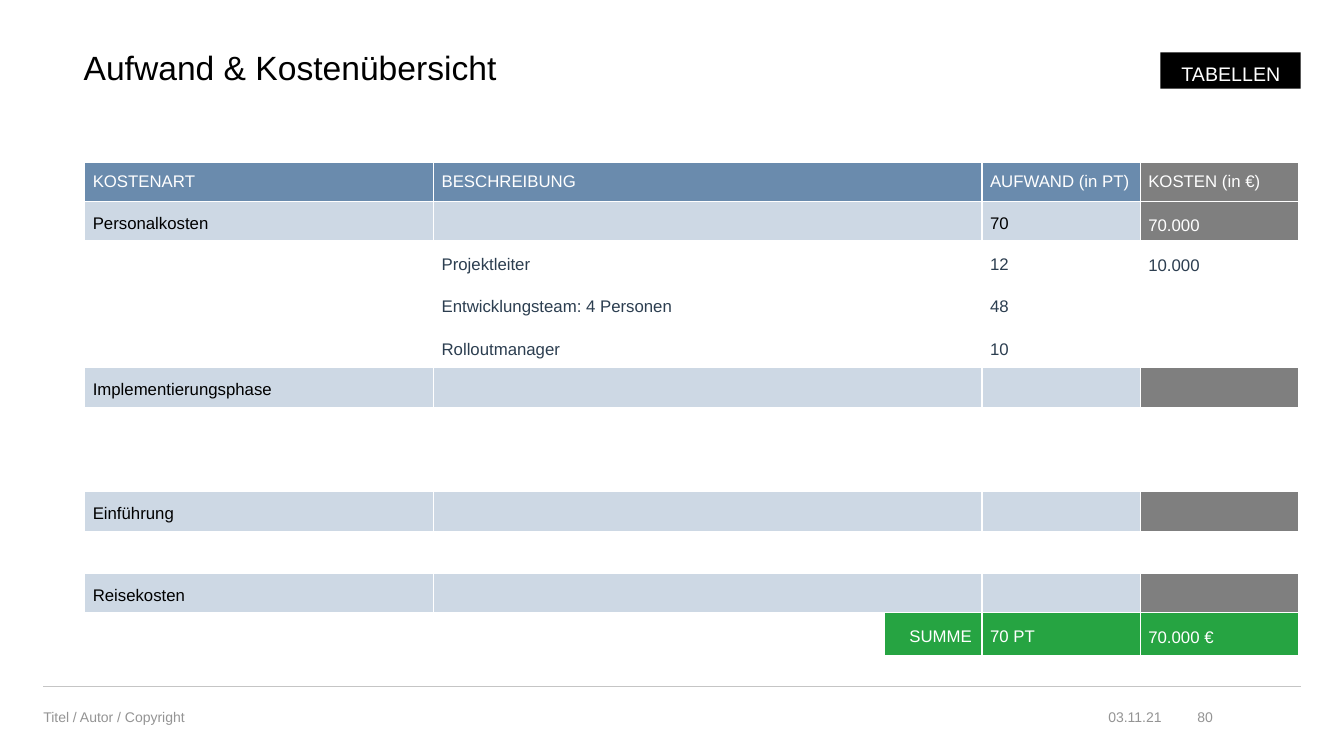
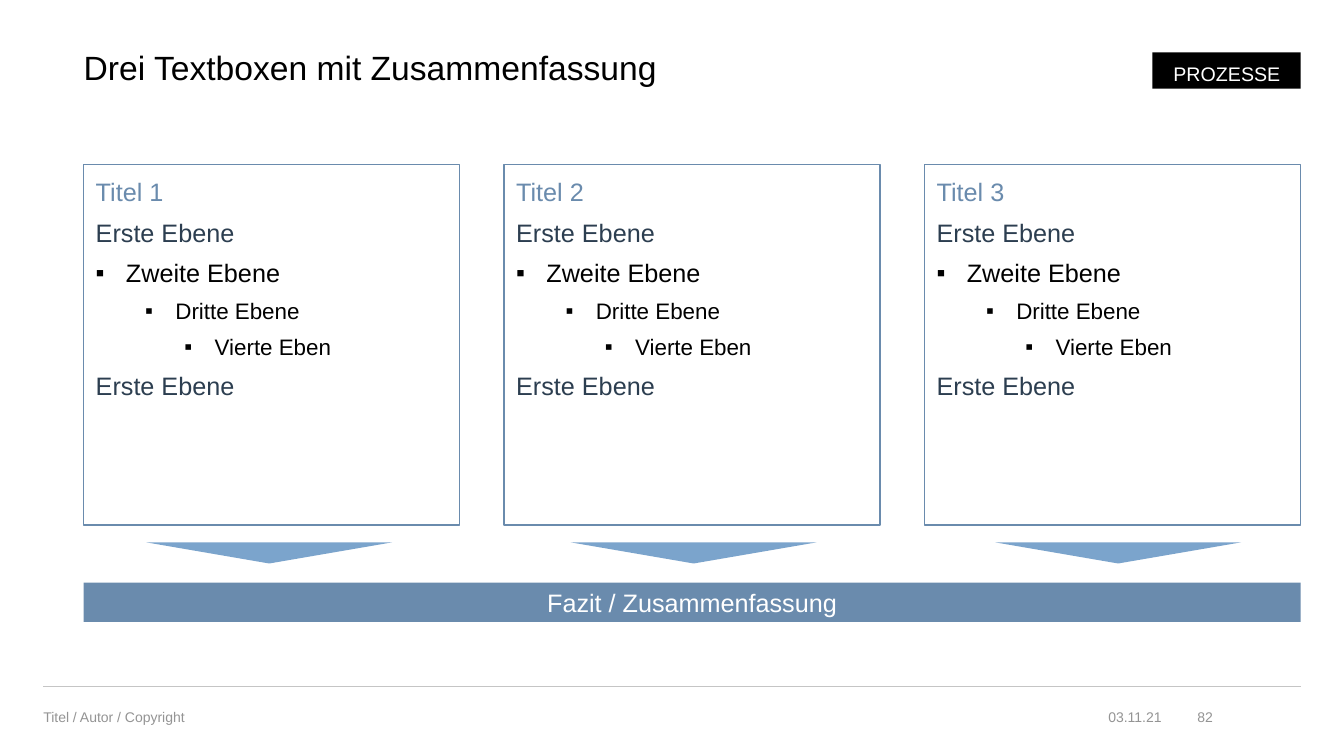
from dataclasses import dataclass

from lxml import etree
from pptx import Presentation
from pptx.dml.color import RGBColor
from pptx.enum.shapes import MSO_CONNECTOR, MSO_SHAPE
from pptx.enum.text import MSO_ANCHOR, PP_ALIGN
from pptx.oxml.ns import qn
from pptx.util import Inches, Pt

LEFT, CENTER, RIGHT = PP_ALIGN.LEFT, PP_ALIGN.CENTER, PP_ALIGN.RIGHT
TOP, MIDDLE = MSO_ANCHOR.TOP, MSO_ANCHOR.MIDDLE
RECTANGLE, TRIANGLE = MSO_SHAPE.RECTANGLE, MSO_SHAPE.ISOSCELES_TRIANGLE
STRAIGHT = MSO_CONNECTOR.STRAIGHT


@dataclass(frozen=True)
class Theme:
    font: str = "Arial"
    black: str = "000000"
    white: str = "FFFFFF"
    navy: str = "2C3E50"
    blue: str = "6A8BAD"
    arrow: str = "7BA4CC"
    pale: str = "CDD8E4"
    gray: str = "7F7F7F"
    green: str = "26A442"
    footer: str = "949494"
    rule: str = "C5C5C5"
    title_size: int = 24
    body_size: int = 18
    detail_size: int = 16
    tag_size: int = 14
    table_size: int = 12
    footer_size: int = 10


THEME = Theme()
EDGE, RIGHT_EDGE = 0.83, 12.9  # content margins

# Table content: row kind and its texts; column 3 only splits the total row
COLUMNS = (3.46, 4.47, 0.97, 1.57, 1.57)
ROW_HEIGHT = 0.39
COST_ROWS = (
    ("header", ("KOSTENART", "BESCHREIBUNG", "", "AUFWAND (in PT)", "KOSTEN (in €)")),
    ("group", ("Personalkosten", "", "", "70", "70.000")),
    ("item", ("", "Projektleiter", "", "12", "10.000")),
    ("item", ("", "Entwicklungsteam: 4 Personen", "", "48", "")),
    ("item", ("", "Rolloutmanager", "", "10", "")),
    ("group", ("Implementierungsphase", "", "", "", "")),
    ("item", ("",) * 5),
    ("item", ("",) * 5),
    ("group", ("Einführung", "", "", "", "")),
    ("item", ("",) * 5),
    ("group", ("Reisekosten", "", "", "", "")),
    ("total", ("", "", "SUMME", "70 PT", "70.000 €")),
)
# Row kind: fill, last-column fill, text colour, last-column text colour
ROW_STYLES = {
    "header": (THEME.blue, THEME.gray, THEME.white, THEME.white),
    "group": (THEME.pale, THEME.gray, THEME.black, THEME.white),
    "item": (THEME.white, THEME.white, THEME.navy, THEME.navy),
    "total": (THEME.green, THEME.green, THEME.white, THEME.white),
}

# Outline of each box: text, size, colour, bullet indent
BOX_OUTLINE = (
    ("Erste Ebene", THEME.body_size, THEME.navy, None),
    ("Zweite Ebene", THEME.body_size, THEME.black, 0.3),
    ("Dritte Ebene", THEME.detail_size, THEME.black, 0.79),
    ("Vierte Eben", THEME.detail_size, THEME.black, 1.18),
    ("Erste Ebene", THEME.body_size, THEME.navy, None),
)


def rgb(color):
    return RGBColor.from_string(color)


def add_bullet(paragraph, indent):
    props = paragraph._p.get_or_add_pPr()
    props.set("marL", str(Inches(indent)))
    props.set("indent", str(Inches(-0.3)))
    color = etree.SubElement(props, qn("a:buClr"))
    etree.SubElement(color, qn("a:srgbClr"), val=THEME.black)
    etree.SubElement(props, qn("a:buFont"), typeface=THEME.font)
    etree.SubElement(props, qn("a:buChar"), char="▪")


def write(frame, text, *, size, color, align=LEFT, line=None, before=None,
          bullet=None, new=False):
    """Write one formatted paragraph into a text frame."""
    paragraph = frame.add_paragraph() if new else frame.paragraphs[0]
    if bullet is not None:
        add_bullet(paragraph, bullet)
    paragraph.alignment = align
    if line:
        paragraph.line_spacing = line
    if before:
        paragraph.space_before = Pt(before)
    run = paragraph.add_run()
    run.text = text
    run.font.name = THEME.font
    run.font.size = Pt(size)
    run.font.color.rgb = rgb(color)


def set_insets(target, left, top, right, bottom):
    target.margin_left, target.margin_top = Inches(left), Inches(top)
    target.margin_right, target.margin_bottom = Inches(right), Inches(bottom)


def add_label(slide, at, text, anchor=TOP, **text_format):
    frame = slide.shapes.add_textbox(*map(Inches, at)).text_frame
    frame.word_wrap = True
    frame.vertical_anchor = anchor
    set_insets(frame, 0, 0, 0, 0)
    write(frame, text, **text_format)


def add_block(slide, at, kind=RECTANGLE, fill=None, outline=None,
              insets=(0, 0, 0, 0), anchor=TOP):
    block = slide.shapes.add_shape(kind, *map(Inches, at))
    block.shadow.inherit = False
    if fill:
        block.fill.solid()
        block.fill.fore_color.rgb = rgb(fill)
    else:
        block.fill.background()
    if outline:
        block.line.color.rgb = rgb(outline)
        block.line.width = Pt(1)
    else:
        block.line.fill.background()
    frame = block.text_frame
    frame.word_wrap = True
    frame.vertical_anchor = anchor
    set_insets(frame, *insets)
    return block


def add_frame_slide(deck, title, tag, tag_width, number):
    """Add a slide with the shared title, tag and footer."""
    slide = deck.slides.add_slide(deck.slide_layouts[6])
    rule = slide.shapes.add_connector(
        STRAIGHT, *map(Inches, (0.43, 6.81, RIGHT_EDGE, 6.81)))
    rule.line.color.rgb = rgb(THEME.rule)
    rule.line.width = Pt(0.5)
    etree.SubElement(rule._element.spPr, qn("a:effectLst"))

    add_label(slide, (EDGE, 0.51, RIGHT_EDGE - EDGE, 0.36), title,
              size=THEME.title_size, color=THEME.black, line=0.9)
    for left, width, text, align in (
        (0.43, 6.07, "Titel / Autor / Copyright", LEFT),
        (10.77, 0.75, "03.11.21", RIGHT),
        (11.72, 0.31, number, RIGHT),
    ):
        add_label(slide, (left, 6.92, width, 0.39), text, MIDDLE, align=align,
                  size=THEME.footer_size, color=THEME.footer)

    tag_block = add_block(slide, (RIGHT_EDGE - tag_width, 0.52, tag_width, 0.36),
                          fill=THEME.black, insets=(0.2, 0.05, 0.2, 0.05))
    tag_block.text_frame.word_wrap = False
    write(tag_block.text_frame, tag, size=THEME.tag_size, color=THEME.white,
          align=RIGHT, line=1.2)
    return slide


def add_cell_borders(cell):
    props = cell._tc.get_or_add_tcPr()
    for position, side in enumerate(("a:lnL", "a:lnR", "a:lnT", "a:lnB")):
        border = etree.Element(qn(side), w=str(Pt(1)))
        fill = etree.SubElement(border, qn("a:solidFill"))
        etree.SubElement(fill, qn("a:srgbClr"), val=THEME.white)
        props.insert(position, border)


def cell_insets(kind, column):
    if kind == "header":
        return 0.08, 0.08, 0.08, 0.08
    if column == 0:
        return 0.08, 0.08, 0.04, 0.04
    return 0.08, 0.08 if column == len(COLUMNS) - 1 else 0.05, 0.1, 0


def fill_cell(cell, kind, column, text):
    fill, last_fill, color, last_color = ROW_STYLES[kind]
    is_last = column == len(COLUMNS) - 1
    if kind == "total" and column < 2:
        cell.fill.background()
    else:
        cell.fill.solid()
        cell.fill.fore_color.rgb = rgb(last_fill if is_last else fill)
    add_cell_borders(cell)
    cell.vertical_anchor = MIDDLE
    set_insets(cell, *cell_insets(kind, column))
    if text:
        write(cell.text_frame, text, size=THEME.table_size,
              color=last_color if is_last else color,
              align=RIGHT if text == "SUMME" else LEFT)


def add_cost_table(slide):
    at = (0.84, 1.61, sum(COLUMNS), ROW_HEIGHT * len(COST_ROWS))
    table = slide.shapes.add_table(
        len(COST_ROWS), len(COLUMNS), *map(Inches, at)).table
    table.first_row = table.horz_banding = False
    for column, width in zip(table.columns, COLUMNS):
        column.width = Inches(width)
    for row, (kind, texts) in enumerate(COST_ROWS):
        table.rows[row].height = Inches(ROW_HEIGHT)
        for column, text in enumerate(texts):
            fill_cell(table.cell(row, column), kind, column, text)
        if kind != "total":
            table.cell(row, 1).merge(table.cell(row, 2))


def add_outline_box(slide, left, heading):
    frame = add_block(slide, (left, 1.63, 3.73, 3.58), outline=THEME.blue,
                      insets=(0.12, 0.06, 0.12, 0.04)).text_frame
    write(frame, heading, size=THEME.body_size, color=THEME.blue, line=1.2)
    for text, size, color, bullet in BOX_OUTLINE:
        write(frame, text, size=size, color=color, bullet=bullet,
              line=1.2, before=3, new=True)


def main():
    deck = Presentation()
    deck.slide_width, deck.slide_height = Inches(13.33), Inches(7.5)

    # Cost overview
    costs = add_frame_slide(deck, "Aufwand & Kostenübersicht", "TABELLEN", 1.39, "80")
    add_cost_table(costs)

    # Three boxes leading to a conclusion
    summary = add_frame_slide(
        deck, "Drei Textboxen mit Zusammenfassung", "PROZESSE", 1.47, "82")
    conclusion = add_block(summary, (EDGE, 5.78, RIGHT_EDGE - EDGE, 0.39),
                           fill=THEME.blue, insets=(0.08, 0, 0.08, 0), anchor=MIDDLE)
    write(conclusion.text_frame, "Fazit / Zusammenfassung", size=THEME.body_size,
          color=THEME.white, align=CENTER)
    for index in range(3):
        pointer = add_block(summary, (1.45 + 4.21 * index, 5.38, 2.44, 0.21),
                            TRIANGLE, fill=THEME.arrow)
        pointer.rotation = 180
        add_outline_box(summary, EDGE + 4.17 * index, f"Titel {index + 1}")

    deck.save("out.pptx")


if __name__ == "__main__":
    main()
